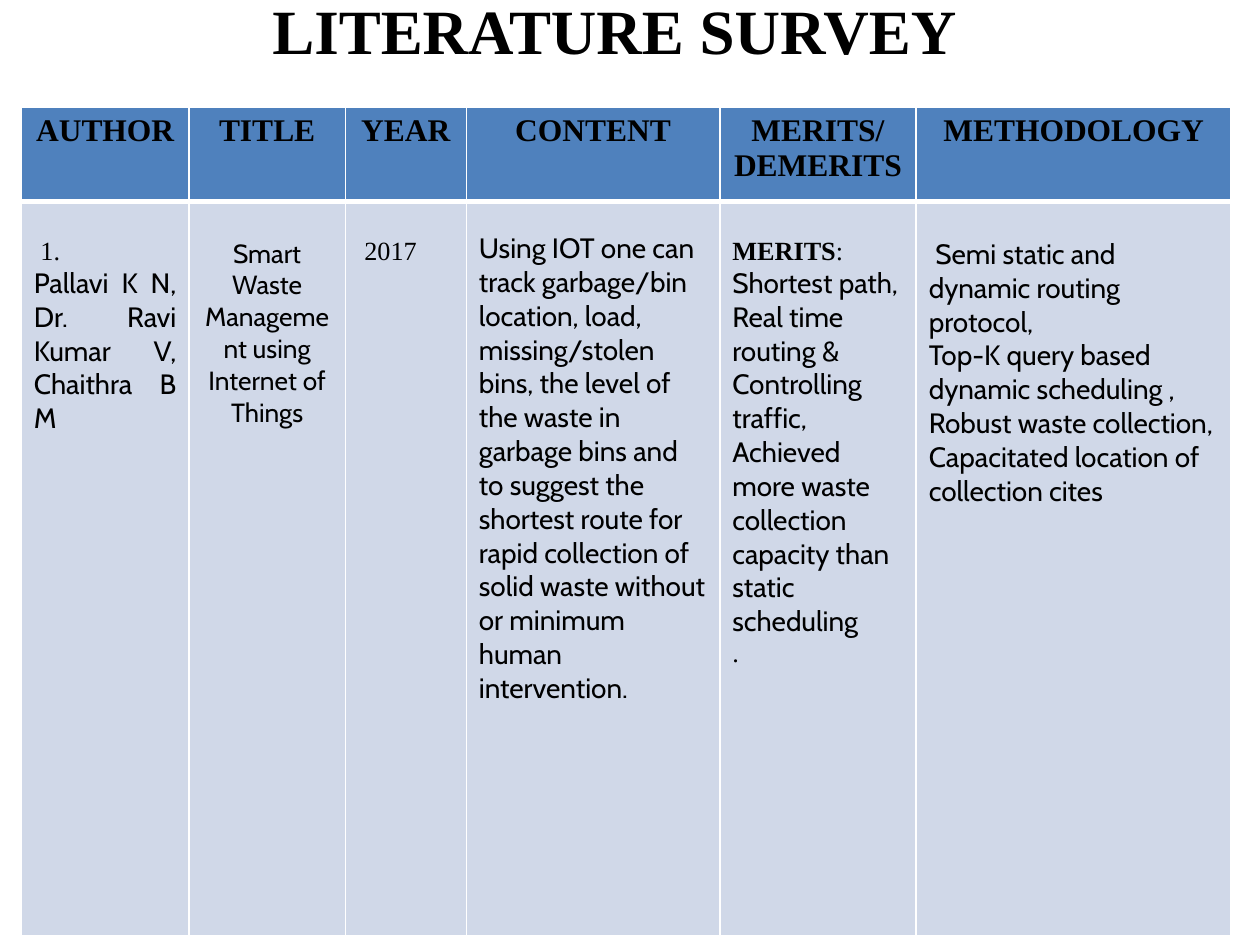
from lxml.etree import SubElement
from pptx import Presentation
from pptx.dml.color import RGBColor as RGB
from pptx.enum.text import MSO_AUTO_SIZE as AutoSize, PP_ALIGN as Align
from pptx.oxml.ns import qn
from pptx.util import Cm, Pt

THEME = {
    "black": "000000", "header": "4F81BD", "body": "D0D8E8", "border": "FFFFFF",
    "serif": "Times New Roman", "sans": "Cabin",
    "title": 36, "head": 18, "text": 16, "small": 15,
}
LEFT, CENTER, JUSTIFY = Align.LEFT, Align.CENTER, Align.JUSTIFY
SERIF = {"font": THEME["serif"], "size": THEME["small"]}
SANS = {"font": THEME["sans"], "size": THEME["text"]}

TITLE = "LITERATURE SURVEY"
# heading lines, column width in cm
COLUMNS = [
    (["AUTHOR"], 3.38),
    (["TITLE"], 3.15),
    (["YEAR"], 2.44),
    (["CONTENT"], 5.11),
    (["MERITS/", "DEMERITS"], 3.96),
    (["METHODOLOGY"], 6.35),
]
# top margin in cm, then paragraphs of (alignment, [(text, format), ...])
SURVEY = [
    (0.73, [(JUSTIFY, [(" 1.", SERIF)]),
            (JUSTIFY, [("Pallavi K N, Dr. Ravi Kumar V, Chaithra B M", SANS)])]),
    (0.73, [(CENTER, [("Smart Waste Management using Internet of Things",
                       {**SANS, "size": THEME["small"]})])]),
    (0.73, [(JUSTIFY, [(" 2017 ", SERIF)])]),
    (0.61, [(LEFT, [("Using IOT one can track garbage/bin location, load, "
                     "missing/stolen bins, the level of the waste in garbage bins "
                     "and to suggest the shortest route for rapid collection of "
                     "solid waste without or minimum human intervention.", SANS)])]),
    (0.73, [(JUSTIFY, [("MERITS", {**SERIF, "bold": True}), (":", SERIF)]),
            (LEFT, [("Shortest path, Real time routing & Controlling traffic,", SANS)]),
            (LEFT, [("Achieved more waste collection capacity than static scheduling",
                     SANS)]),
            (JUSTIFY, [(". ", SERIF)])]),
    (0.73, [(LEFT, [(" ", SERIF), ("Semi static and dynamic routing protocol,", SANS)]),
            (LEFT, [("Top-K query based dynamic scheduling ,", SANS)]),
            (LEFT, [("Robust waste collection,", SANS)]),
            (LEFT, [("Capacitated location of collection cites", SANS)])]),
]
ROW_HEIGHTS = [1.9, 14.81]


def add_run(p, text, *, font, size, bold=False):
    r = p.add_run()
    r.text = text
    r.font.name, r.font.size, r.font.bold = font, Pt(size), bold
    r.font.color.rgb = RGB.from_string(THEME["black"])


def fill_text(tf, paragraphs):
    for i, (align, runs) in enumerate(paragraphs):
        p = tf.add_paragraph() if i else tf.paragraphs[0]
        p.alignment = align
        for text, style in runs:
            add_run(p, text, **style)


def style_cell(cell, color, top, bottom):
    """Draw the borders (top and bottom widths in points), then the fill."""
    tc_pr = cell._tc.get_or_add_tcPr()
    for side, width in (("L", 1), ("R", 1), ("T", top), ("B", bottom)):
        ln = SubElement(tc_pr, qn(f"a:ln{side}"), w=str(Pt(width)))
        SubElement(SubElement(ln, qn("a:solidFill")), qn("a:srgbClr"),
                   val=THEME["border"])
    cell.fill.solid()
    cell.fill.fore_color.rgb = RGB.from_string(color)


def add_title(slide):
    tf = slide.shapes.add_textbox(Cm(3.5), Cm(-0.3), Cm(17.78), Cm(1.8)).text_frame
    tf.word_wrap = True
    tf.auto_size = AutoSize.SHAPE_TO_FIT_TEXT
    style = {"font": THEME["serif"], "size": THEME["title"], "bold": True}
    fill_text(tf, [(CENTER, [(TITLE, style)])])


def add_survey(slide):
    widths = [width for _, width in COLUMNS]
    table = slide.shapes.add_table(2, len(COLUMNS), Cm(0.43), Cm(2.16),
                                   Cm(sum(widths)), Cm(sum(ROW_HEIGHTS))).table
    for row, height in zip(table.rows, ROW_HEIGHTS):
        row.height = Cm(height)
    head_style = {"font": THEME["serif"], "size": THEME["head"], "bold": True}
    for c, ((lines, width), (margin, paragraphs)) in enumerate(zip(COLUMNS, SURVEY)):
        table.columns[c].width = Cm(width)
        head, body = table.cell(0, c), table.cell(1, c)
        style_cell(head, THEME["header"], top=1, bottom=3)
        style_cell(body, THEME["body"], top=3, bottom=1)
        fill_text(head.text_frame, [(CENTER, [(line, head_style)]) for line in lines])
        body.margin_top = Cm(margin)
        fill_text(body.text_frame, paragraphs)


def main():
    prs = Presentation()
    prs.slide_width, prs.slide_height = Cm(25.4), Cm(19.05)
    slide = prs.slides.add_slide(prs.slide_layouts[6])
    add_title(slide)
    add_survey(slide)
    prs.save("out.pptx")


if __name__ == "__main__":
    main()
